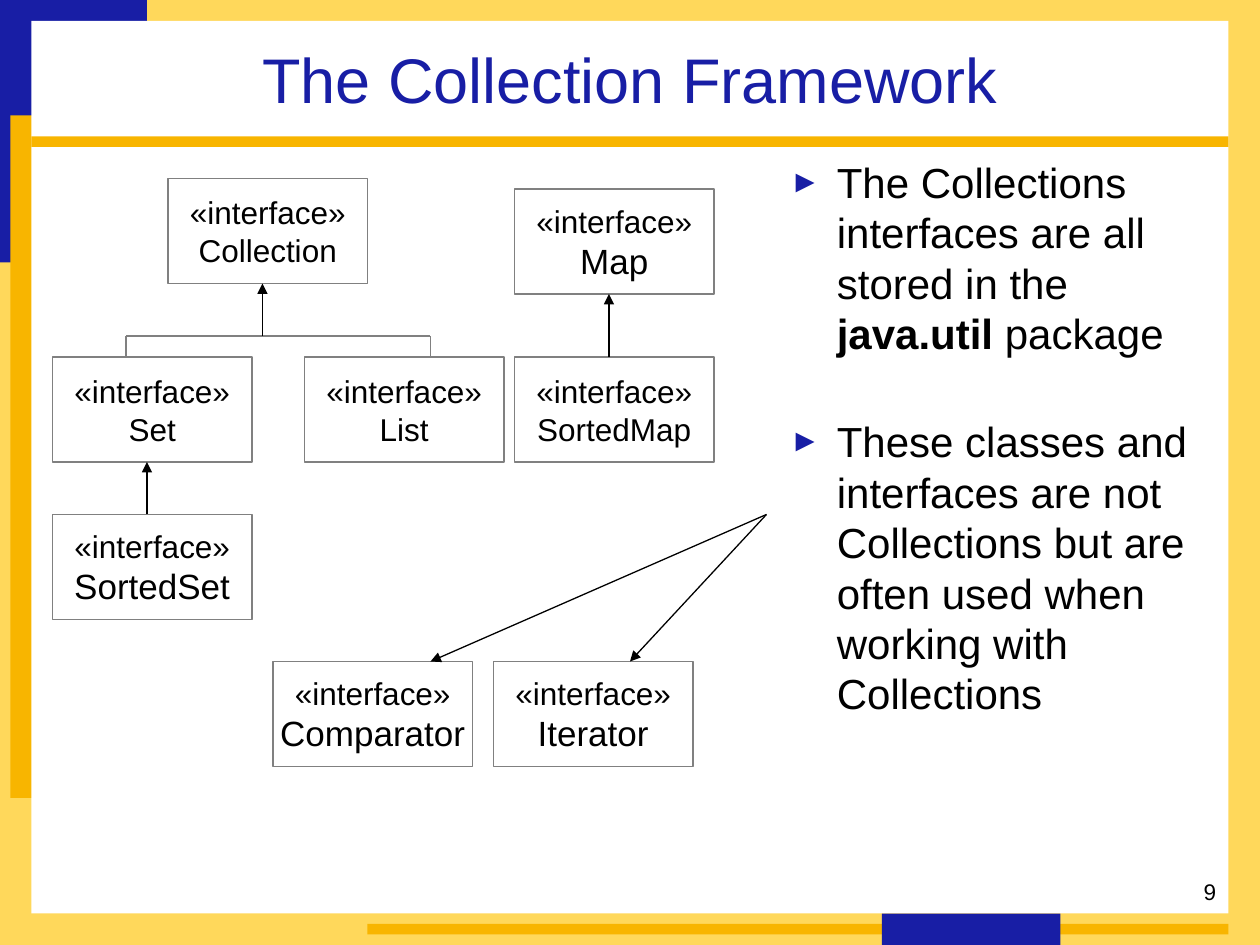
from lxml import etree
from pptx import Presentation
from pptx import util as u
from pptx.dml import color
from pptx.enum import shapes, text
from pptx.oxml import ns

PX = 7620
FONT = "Arial"
COLORS = {
    "blue": "181EA5",
    "yellow": "FFD85B",
    "orange": "F8B500",
    "white": "FFFFFF",
    "black": "000000",
    "gray": "808080",
}


def px(*lengths):
    return [length * PX for length in lengths]


def rgb(name):
    return color.RGBColor.from_string(COLORS[name])


def add_child(parent, tag, **attributes):
    return etree.SubElement(parent, ns.qn(tag), attributes)


def add_run(paragraph, words, size, color_name="black", bold=False):
    run = paragraph.add_run()
    run.text = words
    run.font.name = FONT
    run.font.size = u.Pt(size)
    run.font.bold = bold
    run.font.color.rgb = rgb(color_name)


def place_placeholder(placeholder, box):
    placeholder.left, placeholder.top, placeholder.width, placeholder.height = px(*box)
    tree = placeholder.element.getparent()
    tree.append(placeholder.element)
    frame = placeholder.text_frame
    frame.auto_size = text.MSO_AUTO_SIZE.NONE
    frame.word_wrap = True
    return frame


def add_rectangle(slide, box):
    shape = slide.shapes.add_shape(shapes.MSO_SHAPE.RECTANGLE, *px(*box))
    shape.shadow.inherit = False
    return shape


def add_line(slide, start, end, color_name, width, arrow=False):
    line = slide.shapes.add_connector(
        shapes.MSO_CONNECTOR.STRAIGHT, *px(*start, *end))
    line.line.color.rgb = rgb(color_name)
    line.line.width = u.Pt(width)
    if arrow:
        add_child(line.line._get_or_add_ln(), "a:tailEnd", type="triangle")
    add_child(line.element.spPr, "a:effectLst")


def add_backdrop(slide, box):
    left, top, width, height = box
    bands = [
        ("yellow", (0, 0, width, height)),
        ("blue", (0, 0, 140, 250)),
        ("orange", (10, 110, 50, 650)),
        ("white", (30, 20, width - 60, height - 50)),
        ("orange", (350, 880, 820, 10)),
        ("orange", (30, 130, width - 60, 10)),
        ("blue", (840, 870, 170, 30)),
    ]
    for color_name, (x, y, band_width, band_height) in bands:
        band = add_rectangle(slide, (left + x, top + y, band_width, band_height))
        band.fill.solid()
        band.fill.fore_color.rgb = rgb(color_name)
        band.line.fill.background()


def add_page_number(slide, box, number):
    frame = slide.shapes.add_textbox(*px(*box)).text_frame
    frame.word_wrap = True
    paragraph = frame.paragraphs[0]
    paragraph.alignment = text.PP_ALIGN.RIGHT
    paragraph.space_before = u.Pt(8.8)
    add_run(paragraph, number, 12.9)


def fill_title(slide, box, words):
    frame = place_placeholder(slide.shapes.title, box)
    frame.vertical_anchor = text.MSO_ANCHOR.MIDDLE
    paragraph = frame.paragraphs[0]
    paragraph.alignment = text.PP_ALIGN.CENTER
    add_run(paragraph, words, 36, "blue")


def fill_bullet(placeholder, box, runs):
    frame = place_placeholder(placeholder, box)
    frame.vertical_anchor = text.MSO_ANCHOR.TOP
    paragraph = frame.paragraphs[0]
    paragraph.space_before = u.Pt(6)
    properties = paragraph._p.get_or_add_pPr()
    indent = 45 * PX
    properties.set("marL", str(indent))
    properties.set("indent", str(-indent))
    bullet_color = add_child(properties, "a:buClr")
    add_child(bullet_color, "a:srgbClr", val=COLORS["blue"])
    add_child(properties, "a:buSzPct", val="75000")
    add_child(properties, "a:buFont", typeface=FONT)
    add_child(properties, "a:buChar", char="►")
    for words, bold in runs:
        add_run(paragraph, words, 24, bold=bold)


def add_interface(slide, box, name, size):
    shape = add_rectangle(slide, box)
    shape.fill.background()
    shape.line.color.rgb = rgb("gray")
    shape.line.width = u.Pt(1)
    frame = shape.text_frame
    frame.word_wrap = False
    frame.vertical_anchor = text.MSO_ANCHOR.MIDDLE
    for index, (words, points) in enumerate([("«interface»", 18), (name, size)]):
        paragraph = frame.add_paragraph() if index else frame.paragraphs[0]
        paragraph.alignment = text.PP_ALIGN.CENTER
        add_run(paragraph, words, points)


def add_diagram(slide, box):
    left, top, _, _ = box

    def at(point):
        return left + point[0], top + point[1]

    interfaces = [
        ("Collection", 18, (110, 0)),
        ("SortedSet", 20, (0, 320)),
        ("Set", 18, (0, 170)),
        ("List", 18, (240, 170)),
        ("Comparator", 20, (210, 460)),
        ("Iterator", 20, (420, 460)),
        ("Map", 20, (440, 10)),
        ("SortedMap", 18, (440, 170)),
    ]
    for name, size, corner in interfaces:
        add_interface(slide, (*at(corner), 190, 100), name, size)

    bracket = [(70, 170), (70, 150), (360, 150), (360, 170)]
    for start, end in zip(bracket, bracket[1:]):
        add_line(slide, at(start), at(end), "gray", 1)

    arrows = [
        ((680, 320), (360, 460)),
        ((680, 320), (550, 460)),
        ((90, 320), (90, 270)),
        ((200, 150), (200, 100)),
        ((530, 170), (530, 110)),
    ]
    for start, end in arrows:
        add_line(slide, at(start), at(end), "black", 0.75, arrow=True)


def main():
    presentation = Presentation()
    presentation.slide_width, presentation.slide_height = px(1200, 900)
    slide = presentation.slides.add_slide(presentation.slide_layouts[3])
    add_backdrop(slide, (0, 0, 1200, 900))
    add_page_number(slide, (920, 830, 250, 40), "9")
    fill_title(slide, (30, 20, 1140, 110), "The Collection Framework")
    add_diagram(slide, (50, 170, 680, 560))
    fill_bullet(slide.placeholders[1], (740, 143, 420, 204), [
        ("The Collections interfaces are all stored in the ", False),
        ("java.util ", True),
        ("package", False),
    ])
    fill_bullet(slide.placeholders[2], (740, 390, 420, 300), [
        ("These classes and interfaces are not Collections but are "
         "often used when working with Collections", False),
    ])
    presentation.save("out.pptx")


if __name__ == "__main__":
    main()
